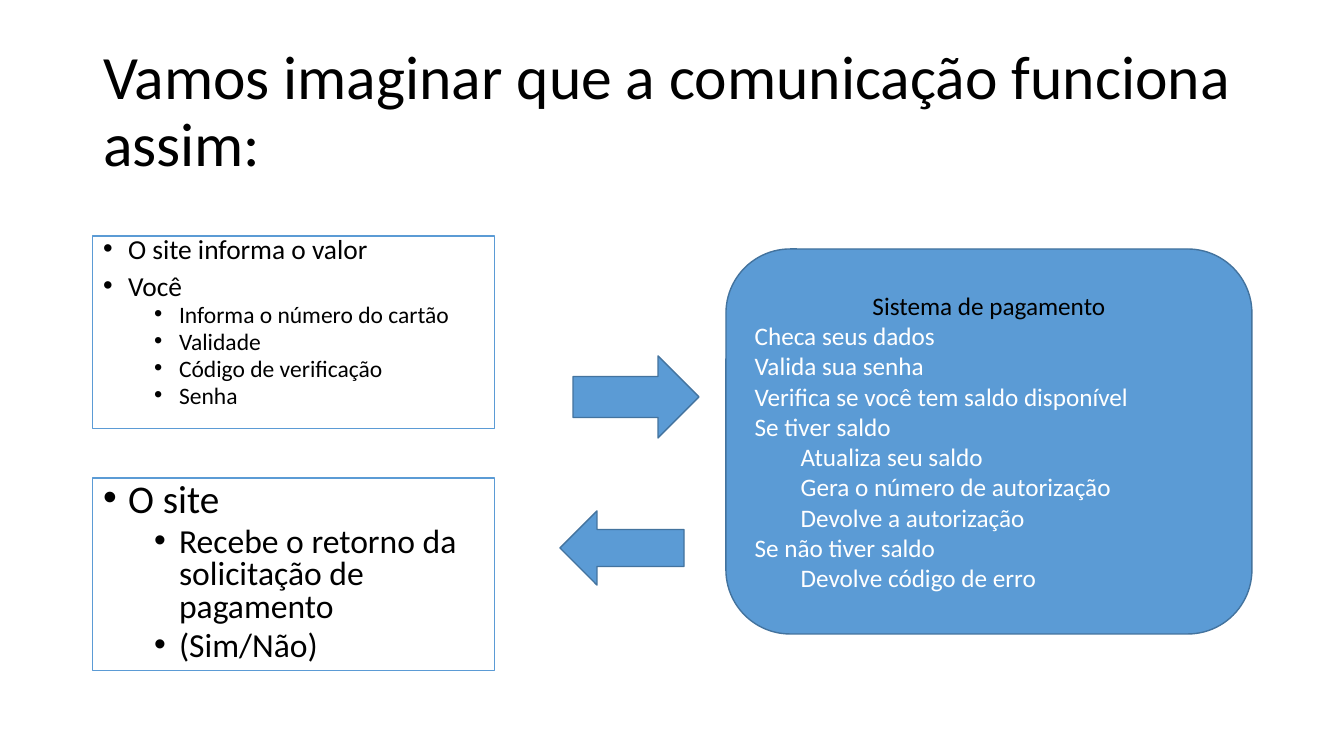
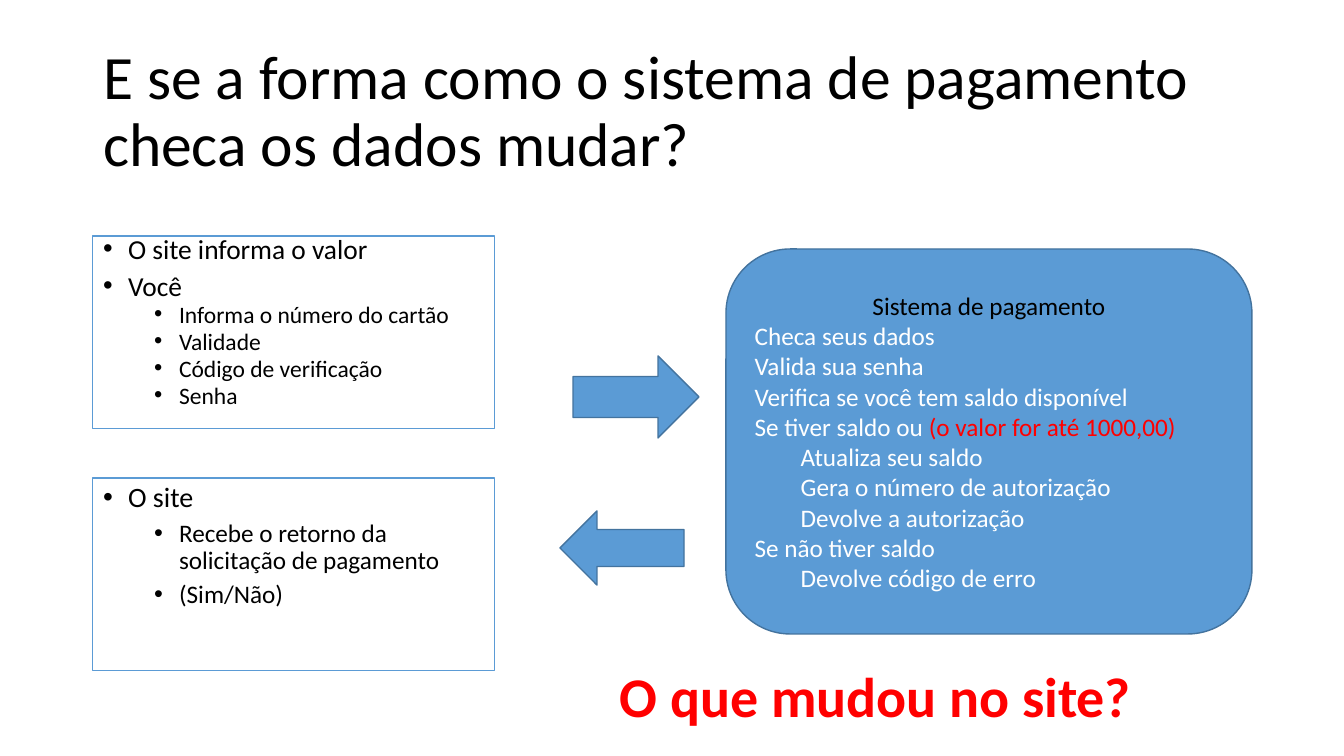
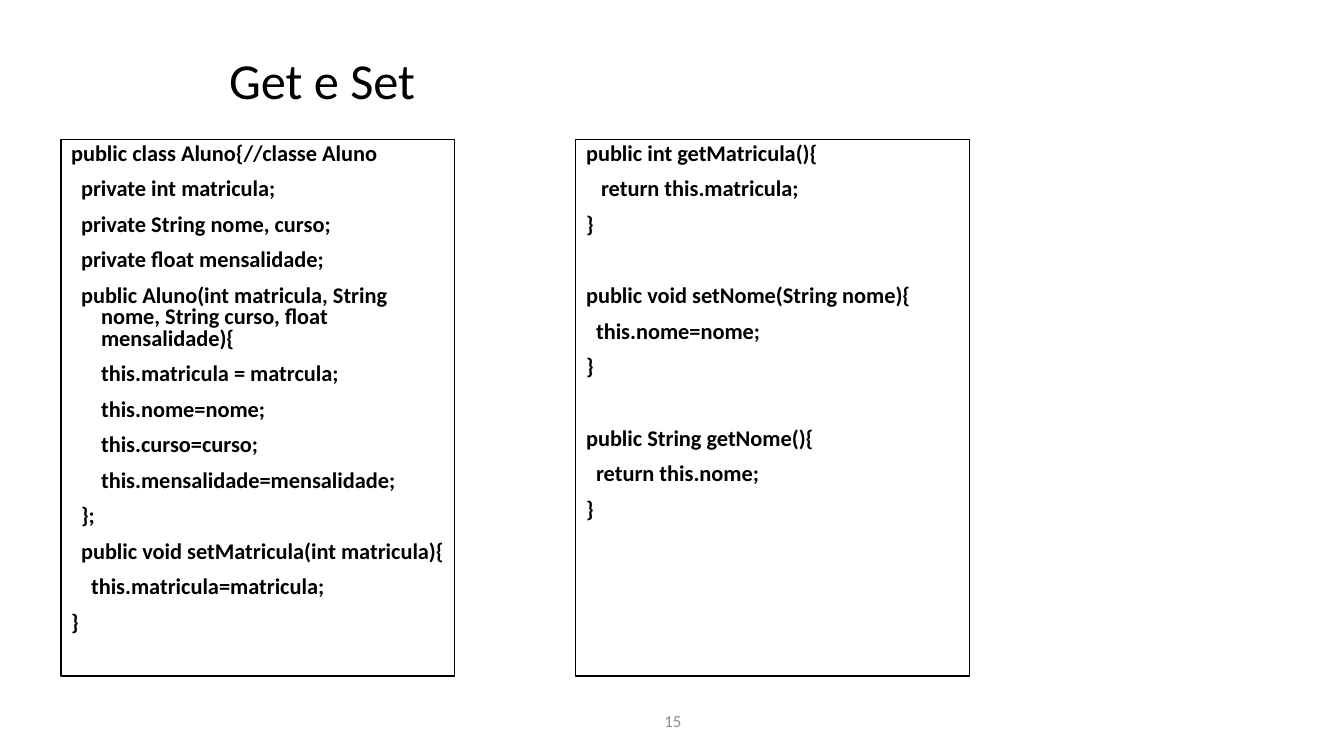
import collections
import lxml.etree
import pptx
import pptx.dml.color
import pptx.enum.shapes
import pptx.enum.text
import pptx.oxml.ns
import pptx.util

RGB = pptx.dml.color.RGBColor
SHAPE = pptx.enum.shapes.MSO_SHAPE
ALIGN = pptx.enum.text.PP_ALIGN
ANCHOR = pptx.enum.text.MSO_ANCHOR
FIT = pptx.enum.text.MSO_AUTO_SIZE

BLACK = RGB(0x00, 0x00, 0x00)
WHITE = RGB(0xFF, 0xFF, 0xFF)
BLUE = RGB(0x5B, 0x9B, 0xD5)
DARK_BLUE = RGB(0x43, 0x73, 0x9E)
RED = RGB(0xFF, 0x00, 0x00)
GREY = RGB(0x8C, 0x8C, 0x8C)

FONT = "Calibri"
PIXEL = 914400 / 100.8
TWO_CONTENT = 3
STEP_INDENT = 46
HANGING = 30
CODE_SPACE = 5
BLANK_LINE = 25.6

Box = collections.namedtuple("Box", "left top width height")

PAGE = Box(0, 0, 1344, 756)
TITLE = Box(93, 40, 1159, 146)
FLOW = Box(93, 236, 1159, 434)
QUESTION = Box(610, 657, 537, 78)
CODE_TITLE = Box(219, 50, 907, 66)
CODE = Box(61, 139, 909, 537)
PAGE_NUMBER = Box(446, 701, 454, 40)

REQUEST = [
    (0, "O site informa o valor"),
    (0, "Você"),
    (1, "Informa o número do cartão"),
    (1, "Validade"),
    (1, "Código de verificação"),
    (1, "Senha"),
]
REPLY = [
    (0, "O site"),
    (1, "Recebe o retorno da solicitação de pagamento"),
    (1, "(Sim/Não)"),
]
CLASS_CODE = [
    (0, "public class Aluno{//classe Aluno"),
    (2, "private int matricula;"),
    (2, "private String nome, curso;"),
    (2, "private float mensalidade;"),
    (2, "public Aluno(int matricula, String nome, String curso, float mensalidade){"),
    (6, "this.matricula = matrcula;"),
    (6, "this.nome=nome;"),
    (6, "this.curso=curso;"),
    (6, "this.mensalidade=mensalidade;"),
    (2, "};"),
    (2, "public void setMatricula(int matricula){"),
    (4, "this.matricula=matricula;"),
    (0, "}"),
]
ACCESSOR_CODE = [
    [(0, "public int getMatricula(){"), (3, "return this.matricula;"), (0, "}")],
    [(0, "public void setNome(String nome){"), (2, "this.nome=nome;"), (0, "}")],
    [(0, "public String getNome(){"), (2, "return this.nome;"), (0, "}")],
]


def emu(pixels):
    return pptx.util.Emu(round(pixels * PIXEL))


def inside(box, left, top, width, height):
    return Box(box.left + left, box.top + top, width, height)


def place(shape, box):
    shape.left, shape.top, shape.width, shape.height = map(emu, box)


def add_text(frame, text, size=18, colour=BLACK, bold=False, align=ALIGN.LEFT,
             level=0, margin=0, first=0, spacing=1.0, before=0, bullet=None):
    para = frame.paragraphs[0]
    if para.runs:
        para = frame.add_paragraph()
    para.alignment = align
    para.level = level
    para.line_spacing = spacing
    para.space_before = pptx.util.Pt(before)
    properties = para._p.get_or_add_pPr()
    properties.set("marL", str(emu(margin)))
    properties.set("indent", str(emu(first)))
    name = pptx.oxml.ns.qn
    if bullet:
        lxml.etree.SubElement(properties, name("a:buFont"), typeface="Arial")
        lxml.etree.SubElement(properties, name("a:buChar"), char=bullet)
    else:
        lxml.etree.SubElement(properties, name("a:buNone"))
    spans = [(text, colour)] if isinstance(text, str) else text
    for words, shade in spans:
        span = para.add_run()
        span.text = words
        span.font.name = FONT
        span.font.size = pptx.util.Pt(size)
        span.font.bold = bold
        span.font.color.rgb = shade


def add_title(page, box, text, size):
    title = page.shapes.title
    place(title, box)
    frame = title.text_frame
    frame.auto_size = FIT.NONE
    frame.vertical_anchor = ANCHOR.MIDDLE
    add_text(frame, text, size=size, spacing=0.9)


def add_body(page, index, box, colour):
    body = page.placeholders[index]
    place(body, box)
    body.line.color.rgb = colour
    body.line.width = pptx.util.Pt(0.75)
    frame = body.text_frame
    frame.auto_size = FIT.NONE
    frame.vertical_anchor = ANCHOR.TOP
    return frame


def add_list(page, index, box, items, sizes, spacing):
    frame = add_body(page, index, box, BLUE)
    for level, text in items:
        add_text(frame, text, size=sizes[level], level=level,
                 margin=(25, 76)[level], first=-25, spacing=spacing,
                 before=(10, 5)[level], bullet="•")


def add_block(page, kind, box):
    block = page.shapes.add_shape(kind, *map(emu, box))
    block.shadow.inherit = False
    block.fill.solid()
    block.fill.fore_color.rgb = BLUE
    block.line.color.rgb = DARK_BLUE
    block.line.width = pptx.util.Pt(1)
    return block


def add_payment_system(page, box, condition):
    frame = add_block(page, SHAPE.ROUNDED_RECTANGLE, box).text_frame
    frame.word_wrap = True
    frame.vertical_anchor = ANCHOR.MIDDLE
    add_text(frame, "Sistema de pagamento", align=ALIGN.CENTER)
    steps = [
        (0, "Checa seus dados"),
        (0, "Valida sua senha"),
        (0, "Verifica se você tem saldo disponível"),
        (0, condition),
        (1, "Atualiza seu saldo"),
        (1, "Gera o número de autorização"),
        (1, "Devolve a autorização"),
        (0, "Se não tiver saldo"),
        (1, "Devolve código de erro"),
    ]
    for depth, text in steps:
        add_text(frame, text, colour=WHITE, margin=depth * STEP_INDENT)


def add_flow(page, box, condition, reply_sizes, reply_spacing):
    add_list(page, 1, inside(box, 0, 0, 402, 193), REQUEST, (19.6, 16.8), 0.7)
    add_list(page, 2, inside(box, 0, 242, 402, 193), REPLY, reply_sizes, reply_spacing)
    add_payment_system(page, inside(box, 633, 13, 526, 385), condition)
    add_block(page, SHAPE.RIGHT_ARROW, inside(box, 480, 120, 126, 82))
    add_block(page, SHAPE.LEFT_ARROW, inside(box, 467, 275, 124, 74))


def add_label(page, box, text, wrap=True, **style):
    label = page.shapes.add_textbox(*map(emu, box))
    frame = label.text_frame
    frame.word_wrap = wrap
    frame.vertical_anchor = ANCHOR.MIDDLE if wrap else ANCHOR.TOP
    add_text(frame, text, **style)


def add_code_line(frame, spaces, text, gap=0):
    add_text(frame, text, size=16, bold=True, margin=HANGING,
             first=spaces * CODE_SPACE - HANGING, spacing=0.8, before=10 + gap)


def add_code(page, box):
    width = 394
    class_box = inside(box, 0, 0, width, box.height)
    accessor_box = inside(box, box.width - width, 0, width, box.height)
    frame = add_body(page, 1, class_box, BLACK)
    for spaces, text in CLASS_CODE:
        add_code_line(frame, spaces, text)
    frame = add_body(page, 2, accessor_box, BLACK)
    for number, method in enumerate(ACCESSOR_CODE):
        for row, (spaces, text) in enumerate(method):
            gap = BLANK_LINE if number and row == 0 else 0
            add_code_line(frame, spaces, text, gap)


def add_page(deck):
    return deck.slides.add_slide(deck.slide_layouts[TWO_CONTENT])


def payment_page(deck, title, condition, reply_sizes, reply_spacing):
    page = add_page(deck)
    add_title(page, TITLE, title, 44)
    add_flow(page, FLOW, condition, reply_sizes, reply_spacing)
    return page


def code_page(deck):
    page = add_page(deck)
    add_title(page, CODE_TITLE, "Get e Set", 36)
    add_code(page, CODE)
    add_label(page, PAGE_NUMBER, "15", size=12, colour=GREY, align=ALIGN.CENTER)


deck = pptx.Presentation()
deck.slide_width = emu(PAGE.width)
deck.slide_height = emu(PAGE.height)

payment_page(deck, "Vamos imaginar que a comunicação funciona assim:",
             "Se tiver saldo", (28, 24), 0.8)
changed = payment_page(
    deck, "E se a forma como o sistema de pagamento checa os dados mudar?",
    [("Se tiver saldo ou ", WHITE), ("(o valor for até 1000,00)", RED)],
    (20, 18), 0.9)
add_label(changed, QUESTION, "O que mudou no site?", wrap=False,
          size=40, colour=RED, bold=True)
code_page(deck)

deck.save("out.pptx")
